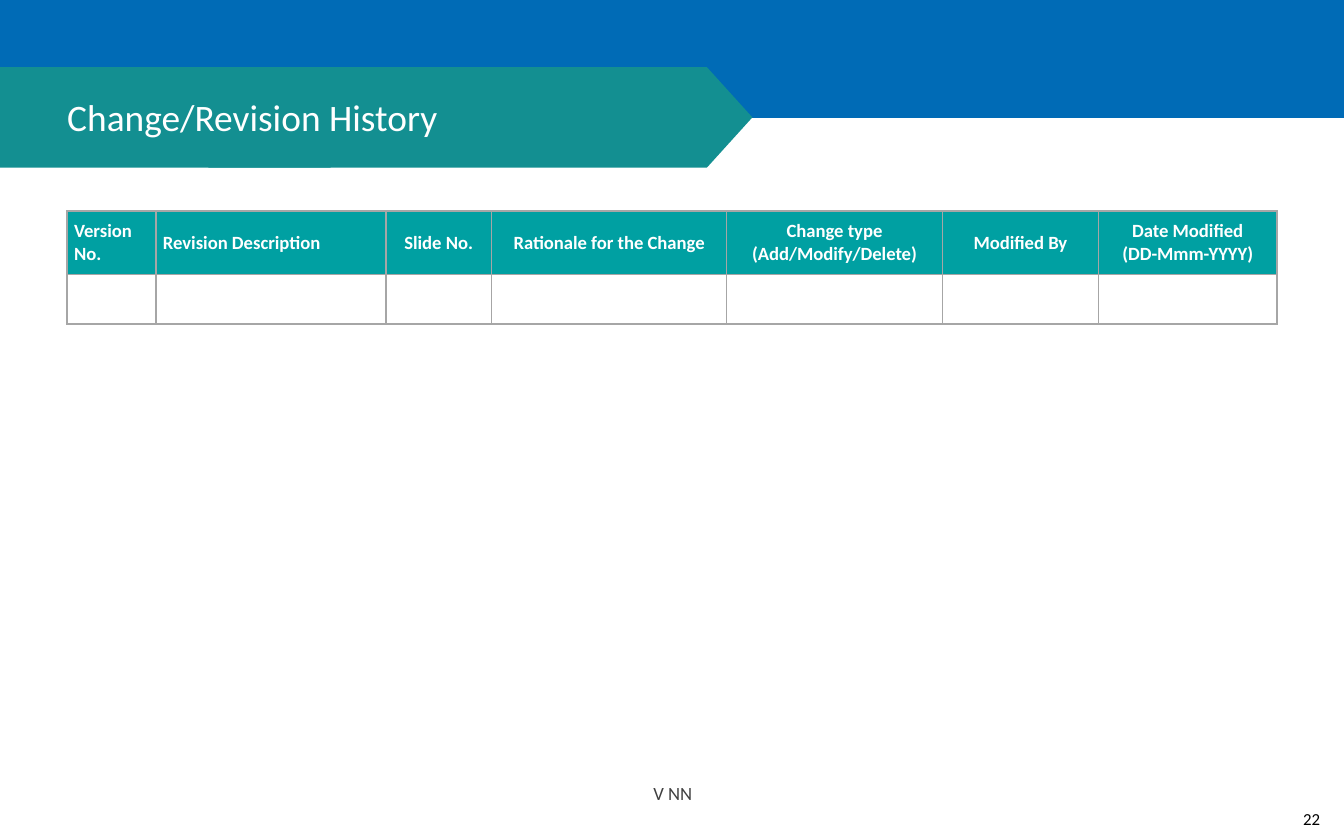
from dataclasses import dataclass

from lxml import etree
from pptx import Presentation
from pptx.dml.color import RGBColor
from pptx.enum import shapes, text
from pptx.oxml import ns
from pptx.util import Cm, Pt

BLUE = RGBColor(0x00, 0x6B, 0xB6)
TEAL = RGBColor(0x13, 0x8F, 0x91)
HEADER = RGBColor(0x00, 0xA0, 0xA2)
WHITE = RGBColor(0xFF, 0xFF, 0xFF)
BLACK = RGBColor(0x00, 0x00, 0x00)
DARK = RGBColor(0x40, 0x40, 0x40)
GRID = RGBColor(0xA6, 0xA6, 0xA6)
LEFT, CENTER = text.PP_ALIGN.LEFT, text.PP_ALIGN.CENTER
MIDDLE = text.MSO_ANCHOR.MIDDLE


@dataclass
class Column:
    lines: list[str]
    width: float
    align: text.PP_ALIGN = CENTER


@dataclass
class Label:
    words: str
    box: tuple[float, float, float, float]
    size: float
    color: RGBColor
    anchor: text.MSO_ANCHOR
    margin: float = 0
    space_after: float = 0


COLUMNS = [
    Column(["Version No."], 1.68, LEFT),
    Column(["Revision Description"], 4.34, LEFT),
    Column(["Slide No."], 2.0),
    Column(["Rationale for the Change"], 4.44),
    Column(["Change type", "(Add/Modify/Delete)"], 4.08),
    Column(["Modified By"], 2.95),
    Column(["Date Modified", "(DD-Mmm-YYYY)"], 3.37),
]
ROWS = [1.2, 0.93]
LABELS = [
    Label("22", (24.28, 15.16, 1.02, 0.64), 9, BLACK, text.MSO_ANCHOR.TOP, 0.13),
    Label("V NN", (12.27, 14.78, 0.89, 0.43), 10, DARK, text.MSO_ANCHOR.BOTTOM, 0, 5),
]


def apply(obj: object, **values: object) -> None:
    for name, value in values.items():
        setattr(obj, name, value)


def write(tf, lines: list[str], size: float, color: RGBColor,
          align: text.PP_ALIGN, bold: bool = False) -> None:
    for i, line in enumerate(lines):
        p = tf.paragraphs[0] if i == 0 else tf.add_paragraph()
        p.alignment = align
        r = p.add_run()
        r.text = line
        apply(r.font, name="Calibri", size=Pt(size), bold=bold)
        r.font.color.rgb = color


def paint(sp, color: RGBColor) -> None:
    sp.shadow.inherit = False
    sp.fill.solid()
    sp.fill.fore_color.rgb = color
    sp.line.fill.background()


def add_band(s, box: tuple[float, float, float, float], color: RGBColor) -> None:
    paint(s.shapes.add_shape(shapes.MSO_SHAPE.RECTANGLE, *map(Cm, box)), color)


def add_label(s, label: Label) -> None:
    tf = s.shapes.add_textbox(*map(Cm, label.box)).text_frame
    apply(tf, word_wrap=True, vertical_anchor=label.anchor,
          margin_left=0, margin_right=0,
          margin_top=Cm(label.margin), margin_bottom=Cm(label.margin))
    write(tf, [label.words], label.size, label.color, CENTER)
    tf.paragraphs[0].space_after = Pt(label.space_after)


def set_borders(cell, color: RGBColor) -> None:
    tc_pr = cell._tc.get_or_add_tcPr()
    for i, side in enumerate(("lnL", "lnR", "lnT", "lnB")):
        ln = etree.Element(ns.qn(f"a:{side}"), w=str(Pt(1)))
        fill = etree.SubElement(ln, ns.qn("a:solidFill"))
        etree.SubElement(fill, ns.qn("a:srgbClr"), val=str(color))
        tc_pr.insert(i, ln)


def set_fill(cell, color: RGBColor, alpha: int = 100) -> None:
    cell.fill.solid()
    cell.fill.fore_color.rgb = color
    if alpha < 100:
        clr = cell._tc.tcPr.find(".//" + ns.qn("a:srgbClr"))
        etree.SubElement(clr, ns.qn("a:alpha"), val=str(alpha * 1000))


def add_history(s) -> None:
    width = sum(c.width for c in COLUMNS)
    table = s.shapes.add_table(len(ROWS), len(COLUMNS), Cm(1.27), Cm(3.99),
                               Cm(width), Cm(sum(ROWS))).table
    for row, height in zip(table.rows, ROWS):
        row.height = Cm(height)
    for i, column in enumerate(COLUMNS):
        table.columns[i].width = Cm(column.width)
        head, blank = table.cell(0, i), table.cell(1, i)
        apply(head, vertical_anchor=MIDDLE, margin_left=Cm(0.13),
              margin_right=Cm(0.13), margin_top=Cm(0.13), margin_bottom=Cm(0.13))
        write(head.text_frame, column.lines, 10, WHITE, column.align, True)
        set_fill(head, HEADER)
        apply(blank, margin_top=0, margin_bottom=0)
        set_fill(blank, WHITE, 20)
        for cell in (head, blank):
            set_borders(cell, GRID)


def main() -> None:
    prs = Presentation()
    apply(prs, slide_width=Cm(25.4), slide_height=Cm(15.88))
    s = prs.slides.add_slide(prs.slide_layouts[5])

    # Header bands and arrow-shaped banner
    add_band(s, (0, 0, 25.4, 2.23), BLUE)
    add_band(s, (0, 1.27, 6.25, 1.9), TEAL)
    arrow = s.shapes.build_freeform(Cm(13.36), Cm(1.27))
    arrow.add_line_segments([(Cm(x), Cm(y)) for x, y in (
        (14.22, 2.22), (13.36, 3.17), (3.94, 3.17), (3.94, 1.27))])
    paint(arrow.convert_to_shape(), TEAL)

    # Title, raised above the banner
    title = s.shapes.title
    apply(title, left=Cm(0), top=Cm(1.25), width=Cm(14.22), height=Cm(1.9))
    tf = title.text_frame
    apply(tf, auto_size=text.MSO_AUTO_SIZE.NONE, vertical_anchor=MIDDLE,
          word_wrap=True, margin_left=Cm(1.27), margin_right=0,
          margin_top=0, margin_bottom=0)
    write(tf, ["Change/Revision History"], 20, WHITE, LEFT)
    s.shapes._spTree.append(title._element)

    # Revision table
    add_history(s)

    # Page number and version
    for label in LABELS:
        add_label(s, label)

    prs.save("out.pptx")


if __name__ == "__main__":
    main()
